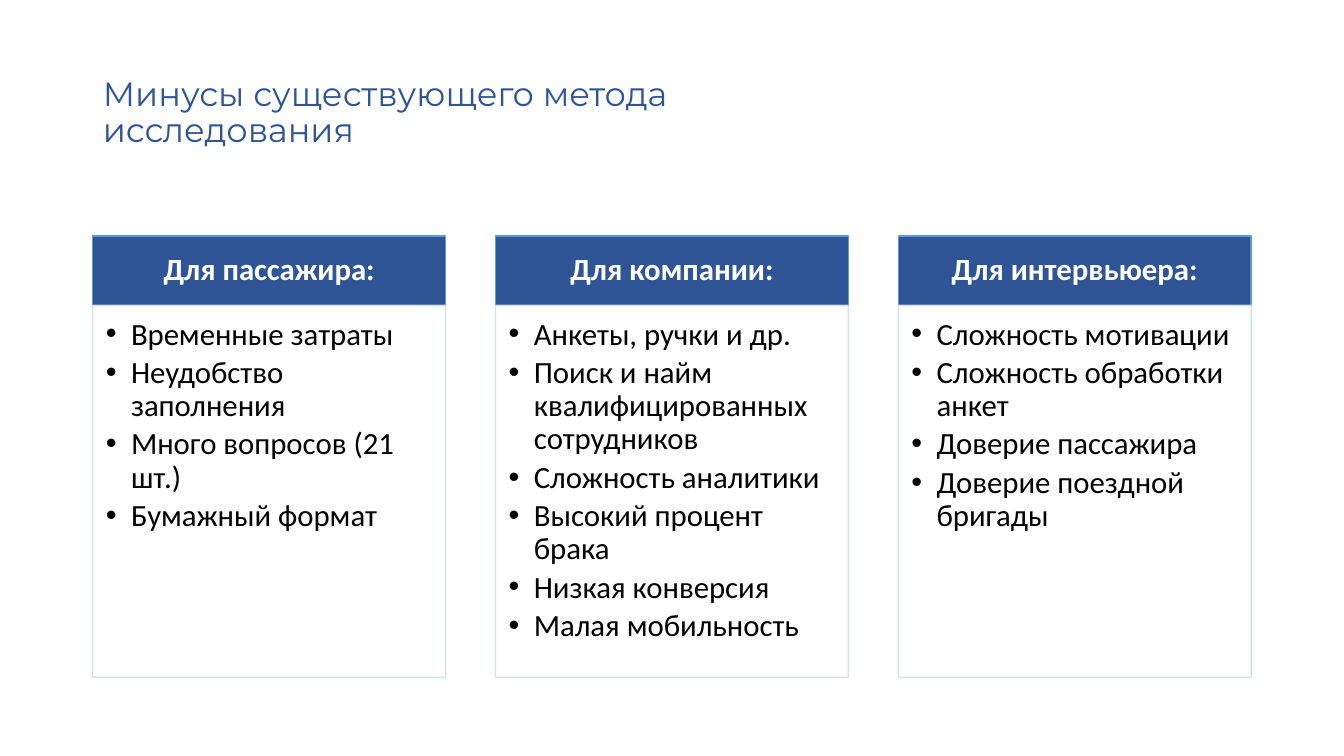
from dataclasses import dataclass

import lxml.etree
import pptx
import pptx.dml.color
import pptx.enum.shapes
import pptx.enum.text
import pptx.oxml
import pptx.oxml.ns
import pptx.util

Inches = pptx.util.Inches
Pt = pptx.util.Pt
qn = pptx.oxml.ns.qn
Anchor = pptx.enum.text.MSO_ANCHOR
Align = pptx.enum.text.PP_ALIGN


@dataclass(frozen=True)
class Theme:
    accent: str = "2F5597"
    header_line: str = "5B9BD5"
    body_line: str = "D2DEEF"
    light: str = "FFFFFF"
    dark: str = "000000"
    title_font: str = "Montserrat"
    body_font: str = "Calibri"
    title_size: int = 24
    body_size: int = 22
    line_spacing: float = 0.9
    bullet_gap: float = 3.6
    bullet_indent: float = 0.25
    body_opacity: int = 90


THEME = Theme()
WIDTH, HEIGHT = 13.33, 7.5
MARGIN = 0.92
CONTENT = 11.49
COLUMN_SHARE = 3.5 / CONTENT
HEADER_SHARE = 0.69 / 4.38

TITLE = "Минусы существующего метода \vисследования"
COLUMNS = [
    ("Для пассажира:", [
        "Временные затраты",
        "Неудобство заполнения",
        "Много вопросов (21 шт.)",
        "Бумажный формат",
    ]),
    ("Для компании:", [
        "Анкеты, ручки и др.",
        "Поиск и найм квалифицированных сотрудников",
        "Сложность аналитики",
        "Высокий процент брака",
        "Низкая конверсия",
        "Малая мобильность",
    ]),
    ("Для интервьюера:", [
        "Сложность мотивации",
        "Сложность обработки анкет",
        "Доверие пассажира",
        "Доверие поездной бригады",
    ]),
]


def rgb(value):
    return pptx.dml.color.RGBColor.from_string(value)


def format_text(tf, font, size, color, align, bold=False):
    for p in tf.paragraphs:
        p.alignment = align
        p.line_spacing = THEME.line_spacing
        for r in p.runs:
            r.font.name = font
            r.font.size = Pt(size)
            r.font.bold = bold
            r.font.color.rgb = rgb(color)


def set_insets(tf, left, top, right, bottom):
    tf.margin_left, tf.margin_top = Inches(left), Inches(top)
    tf.margin_right, tf.margin_bottom = Inches(right), Inches(bottom)


def add_panel(s, box, fill, line):
    rectangle = pptx.enum.shapes.MSO_SHAPE.RECTANGLE
    sp = s.shapes.add_shape(rectangle, *map(Inches, box))
    sp.shadow.inherit = False
    sp.fill.solid()
    sp.fill.fore_color.rgb = rgb(fill)
    sp.line.color.rgb = rgb(line)
    sp.line.width = Pt(1)
    sp.text_frame.word_wrap = True
    return sp


def set_opacity(sp, percent):
    for color in sp._element.spPr.iter(qn("a:srgbClr")):
        alpha = lxml.etree.SubElement(color, qn("a:alpha"))
        alpha.set("val", str(percent * 1000))


def add_bullet(p):
    p.level = 1
    p.space_after = Pt(THEME.bullet_gap)
    pPr = p._p.get_or_add_pPr()
    indent = Inches(THEME.bullet_indent)
    pPr.set("marL", str(indent))
    pPr.set("indent", str(-indent))
    lxml.etree.SubElement(pPr, qn("a:buFont")).set("typeface", "Arial")
    lxml.etree.SubElement(pPr, qn("a:buChar")).set("char", "•")


def place_title(s, box, text):
    sp = s.shapes.title
    sp.left, sp.top, sp.width, sp.height = map(Inches, box)
    tf = sp.text_frame
    tf.text = text
    tf.word_wrap = True
    tf.auto_size = pptx.enum.text.MSO_AUTO_SIZE.NONE
    tf.vertical_anchor = Anchor.MIDDLE
    format_text(tf, THEME.title_font, THEME.title_size, THEME.accent, Align.LEFT)


def add_header(s, box, text):
    tf = add_panel(s, box, THEME.accent, THEME.header_line).text_frame
    tf.text = text
    tf.vertical_anchor = Anchor.MIDDLE
    set_insets(tf, 0.17, 0.1, 0.17, 0.1)
    format_text(tf, THEME.body_font, THEME.body_size, THEME.light, Align.CENTER, True)


def add_bullets(s, box, items):
    sp = add_panel(s, box, THEME.light, THEME.body_line)
    set_opacity(sp, THEME.body_opacity)
    tf = sp.text_frame
    tf.text = "\n".join(items)
    tf.vertical_anchor = Anchor.TOP
    set_insets(tf, 0.13, 0.13, 0.17, 0.19)
    format_text(tf, THEME.body_font, THEME.body_size, THEME.dark, Align.LEFT)
    for p in tf.paragraphs:
        add_bullet(p)


def add_columns(s, box, columns):
    left, top, width, height = box
    column = width * COLUMN_SHARE
    step = (width - column) / (len(columns) - 1)
    header = height * HEADER_SHARE
    for i, (heading, items) in enumerate(columns):
        x = left + i * step
        add_header(s, (x, top, column, header), heading)
        add_bullets(s, (x, top + header, column, height - header), items)


def main():
    prs = pptx.Presentation()
    prs.slide_width, prs.slide_height = Inches(WIDTH), Inches(HEIGHT)
    s = prs.slides.add_slide(prs.slide_layouts[5])
    place_title(s, (MARGIN, 0.4, CONTENT, 1.45), TITLE)
    add_columns(s, (MARGIN, 2.34, CONTENT, 4.38), COLUMNS)
    prs.save("out.pptx")


if __name__ == "__main__":
    main()
